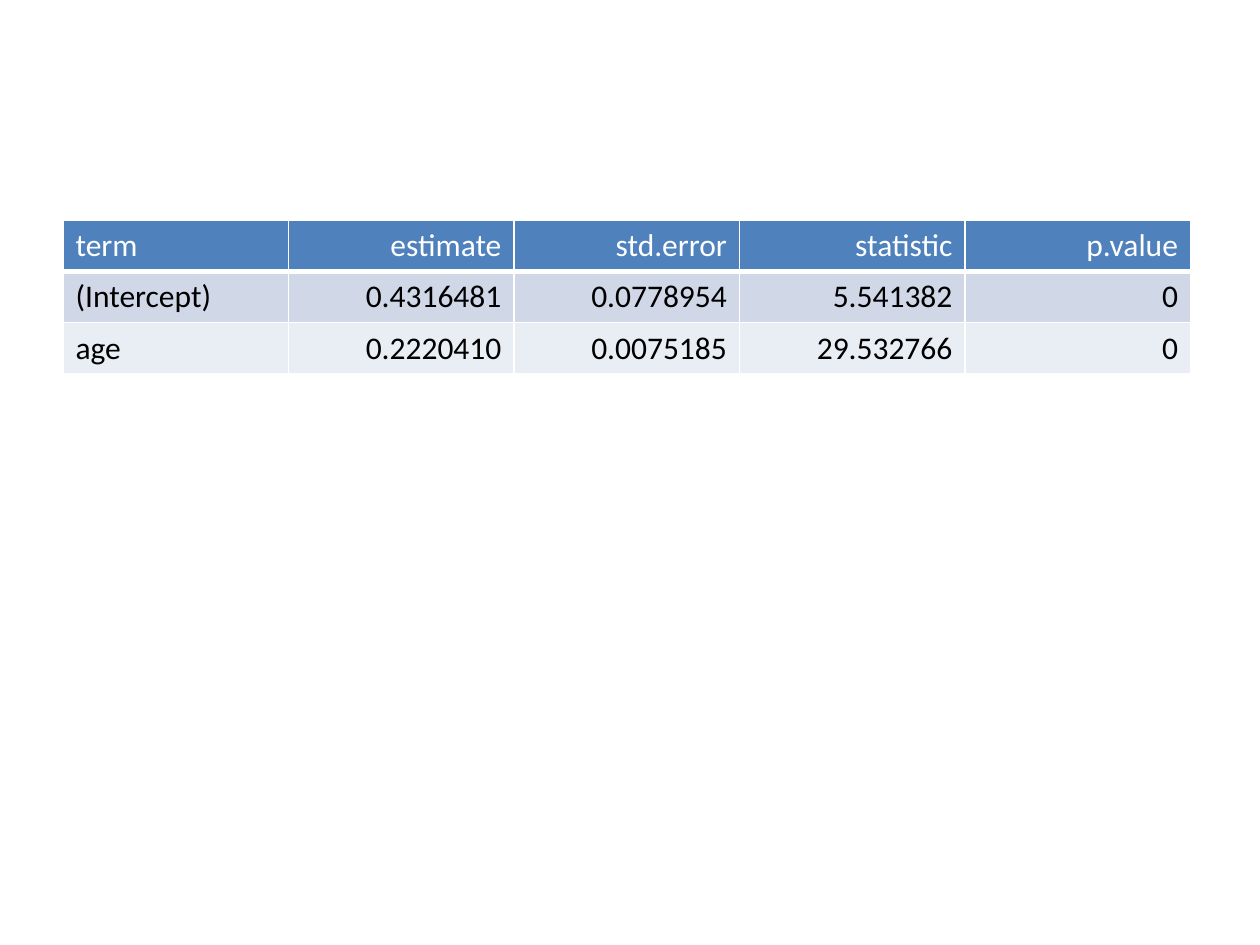
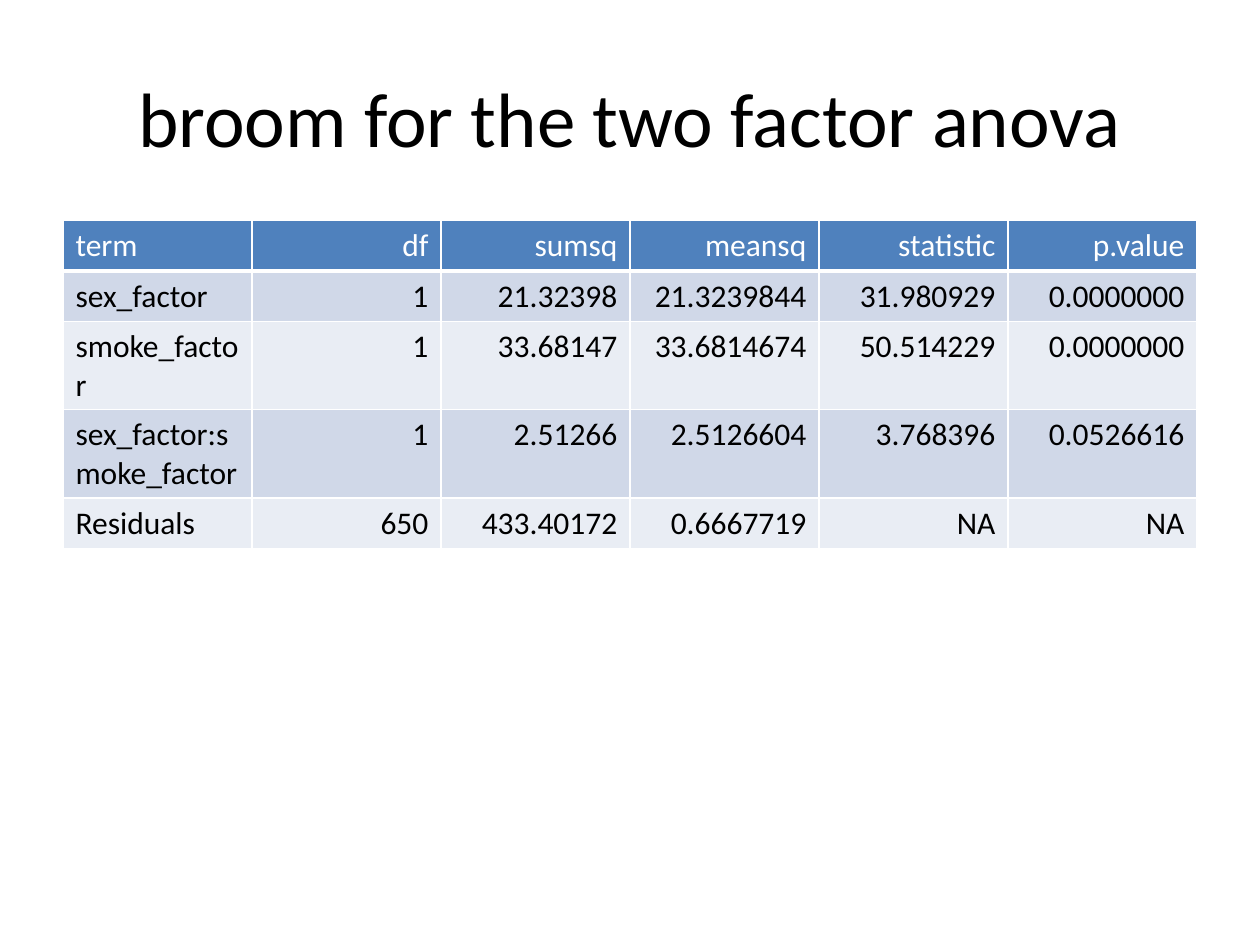
import pptx
import pptx.util
import pptx.dml.color
import pptx.enum.text
import pptx.oxml
import pptx.oxml.ns

Inches = pptx.util.Inches
Pt = pptx.util.Pt
RGBColor = pptx.dml.color.RGBColor
ALIGN = pptx.enum.text.PP_ALIGN

WHITE = RGBColor(0xFF, 0xFF, 0xFF)
BLACK = RGBColor(0, 0, 0)
BLUE = RGBColor(0x4F, 0x81, 0xBD)
BANDS = (RGBColor(0xD0, 0xD8, 0xE8), RGBColor(0xE9, 0xED, 0xF4))
FONT = "Calibri"
LEFT = 0.5
WIDTH = 9

MODEL = [
    ("term", "estimate", "std.error", "statistic", "p.value"),
    ("(Intercept)", "0.4316481", "0.0778954", "5.541382", "0"),
    ("age", "0.2220410", "0.0075185", "29.532766", "0"),
]
ANOVA = [
    ("term", "df", "sumsq", "meansq", "statistic", "p.value"),
    ("sex_factor", "1", "21.32398", "21.3239844", "31.980929", "0.0000000"),
    ("smoke_factor", "1", "33.68147", "33.6814674", "50.514229", "0.0000000"),
    ("sex_factor:smoke_factor", "1", "2.51266", "2.5126604", "3.768396", "0.0526616"),
    ("Residuals", "650", "433.40172", "0.6667719", "NA", "NA"),
]


def style(frame, size, color, align):
    for para in frame.paragraphs:
        para.alignment = align
        for run in para.runs:
            run.font.name = FONT
            run.font.size = Pt(size)
            run.font.bold = False
            run.font.color.rgb = color


def add_title(slide, text):
    box = slide.shapes.add_textbox(Inches(LEFT), Inches(0.3), Inches(WIDTH), Inches(1.25))
    frame = box.text_frame
    frame.word_wrap = True
    frame.vertical_anchor = pptx.enum.text.MSO_ANCHOR.MIDDLE
    frame.text = text
    style(frame, 44, BLACK, ALIGN.CENTER)


def add_edges(cell, base):
    props = cell._tc.get_or_add_tcPr()
    for side, width in (("L", 1), ("R", 1), ("T", 1), ("B", base)):
        props.append(pptx.oxml.parse_xml(
            f'<a:ln{side} {pptx.oxml.ns.nsdecls("a")} w="{Pt(width)}">'
            f'<a:solidFill><a:srgbClr val="{WHITE}"/></a:solidFill></a:ln{side}>'))


def fill_cell(cell, text, row, col):
    head = row == 0
    cell.text = text
    style(cell.text_frame, 18, WHITE if head else BLACK,
          ALIGN.RIGHT if col else ALIGN.LEFT)
    add_edges(cell, 3 if head else 1)
    cell.fill.solid()
    cell.fill.fore_color.rgb = BLUE if head else BANDS[(row - 1) % 2]


def add_grid(slide, data, width):
    rows, cols = len(data), len(data[0])
    table = slide.shapes.add_table(
        rows, cols, Inches(LEFT), Inches(1.75),
        Inches(width * cols), Inches(0.4 * rows)).table
    for row, line in enumerate(data):
        for col, text in enumerate(line):
            fill_cell(table.cell(row, col), text, row, col)


def main():
    deck = pptx.Presentation()
    deck.slide_width = Inches(10)
    deck.slide_height = Inches(7.5)
    blank = deck.slide_layouts[6]
    add_grid(deck.slides.add_slide(blank), MODEL, 1.79)
    slide = deck.slides.add_slide(blank)
    add_title(slide, "broom for the two factor anova")
    add_grid(slide, ANOVA, 1.5)
    deck.save("out.pptx")


if __name__ == "__main__":
    main()
